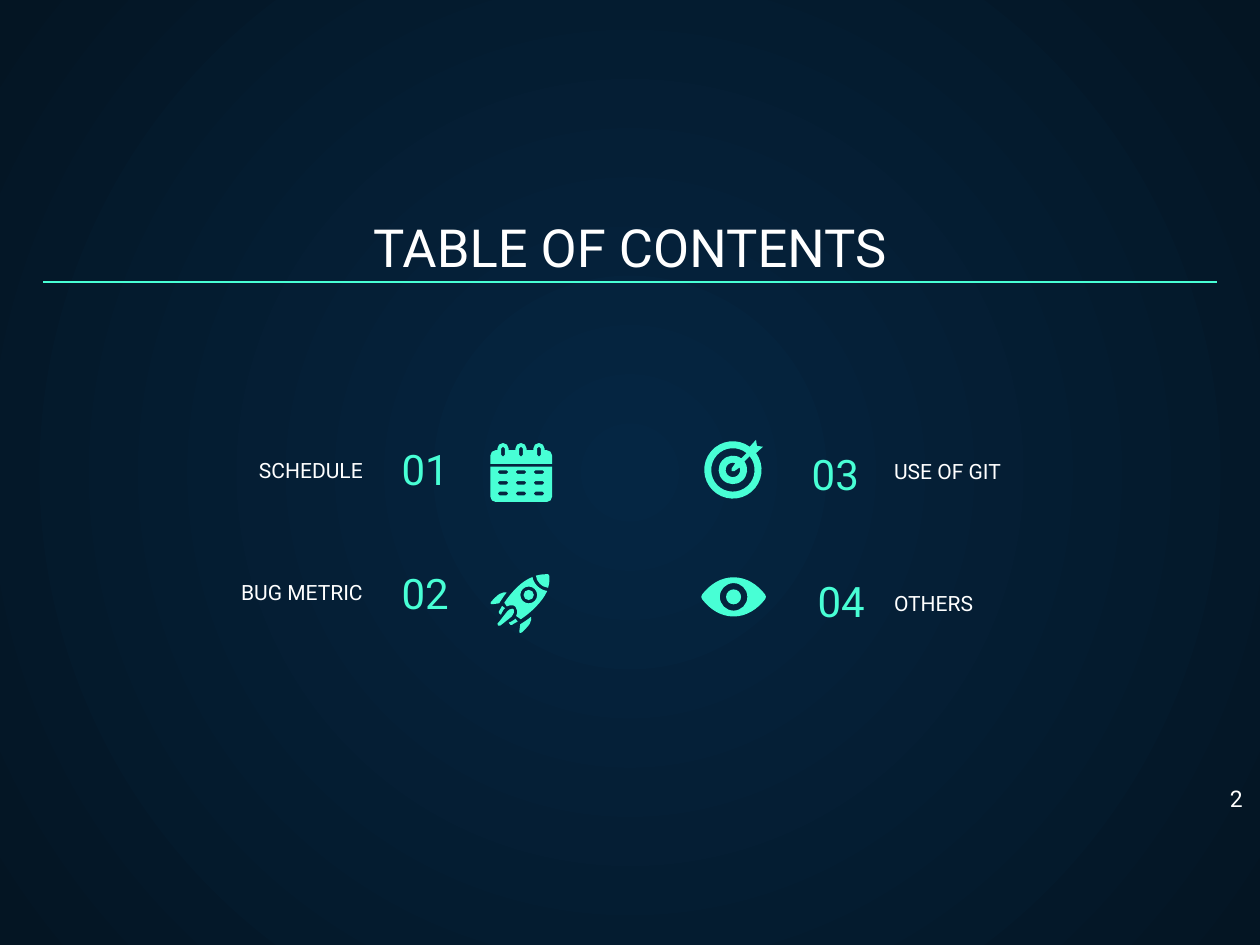
from math import ceil, cos, radians, sin, tan

from lxml import etree
from pptx import Presentation
from pptx.dml.color import RGBColor
from pptx.enum.shapes import MSO_CONNECTOR
from pptx.enum.text import MSO_ANCHOR, PP_ALIGN
from pptx.oxml import parse_xml
from pptx.oxml.ns import nsdecls, qn
from pptx.util import Pt

MINT, WHITE = "48FFD5", "FFFFFF"
NAVY, NIGHT = "052643", "041523"
LEFT, CENTER, RIGHT = PP_ALIGN.LEFT, PP_ALIGN.CENTER, PP_ALIGN.RIGHT
BOTTOM, TOP = MSO_ANCHOR.BOTTOM, MSO_ANCHOR.TOP

# Content: text, left, top, width, height, size, colour, alignment, anchor
TEXTS = [
    ("TABLE OF CONTENTS", 18.5, 88.5, 503, 36, 22.5, WHITE, CENTER, BOTTOM),
    ("04", 306, 237.6, 69.8, 36, 18, MINT, RIGHT, BOTTOM),
    ("01", 167, 180.7, 69.8, 36, 18, MINT, LEFT, BOTTOM),
    ("02", 167, 234, 69.8, 36, 18, MINT, LEFT, BOTTOM),
    ("03", 342.7, 182.9, 69.8, 36, 18, MINT, LEFT, BOTTOM),
    ("SCHEDULE", 2.2, 180.7, 158.4, 31.5, 9, WHITE, RIGHT, BOTTOM),
    ("BUG METRIC", 38.2, 252.7, 122.4, 11.5, 9, WHITE, RIGHT, BOTTOM),
    ("OTHERS", 378, 257.8, 122.4, 11.5, 9, WHITE, LEFT, BOTTOM),
    ("USE OF GIT", 378, 200.9, 129.6, 11.5, 9, WHITE, LEFT, BOTTOM),
    ("2", 505.4, 331.2, 32.4, 23, 9.8, WHITE, RIGHT, TOP),
]

# Outlines: a pair is a straight step, six numbers are a Bezier step
FIN = [(5.8, 7.9), (4.6, 8, 3.4, 8.8, 2.2, 10), (0.3, 11.9),
       (-0.1, 12.4, 0, 12.9, 0.4, 13), (0.8, 13.1, 2.6, 12.7, 3.8, 12.6),
       (4.8, 11, 5.8, 9.4, 7, 8)]
STRAKE = [(5, 13.7), (4.4, 14.8, 3.9, 15.7, 3.6, 16.1),
          (3.4, 16.4, 3.5, 16.7, 3.6, 16.8), (4.5, 17.5),
          (4.8, 16.8, 5.2, 16, 5.8, 15.1), (6.3, 14.7)]
FLAME = [(9.4, 14.9), (8.5, 14.9, 7.5, 15.5, 7.1, 16.2),
         (4.9, 19, 3.7, 20.6, 3, 21.3), (2.9, 21.7, 3, 22, 3.3, 22.2),
         (3.5, 22.4, 3.8, 22.5, 4.1, 22.2), (4.8, 21.7, 6.5, 20.4, 9.2, 18.2),
         (10, 17.3, 10.4, 16, 10, 15.2)]
NOSE = [(23.6, 0.1), (22.2, 0.1, 20.8, 0.3, 19.5, 0.7),
        (19.6, 1.8, 20.1, 3.1, 21.1, 4.1), (22.2, 5.2, 23.5, 5.8, 24.7, 5.9),
        (25.2, 4.4, 25.4, 2.7, 25.2, 0.7), (25.2, 0.4, 25, 0.2, 24.7, 0.1)]
HULL = [(18, 1.3), (13.5, 3, 9.6, 7, 5.9, 12.3), (7, 13.9),
        (7.8, 13.5, 8.7, 13.3, 9.4, 13.4), (9.9, 13.4, 10.4, 13.6, 10.8, 14.2),
        (11.6, 15, 11.7, 16.5, 11, 18), (13, 19.4),
        (17.4, 16.5, 22.2, 12, 24.3, 7.3), (22.9, 7.1, 21.3, 6.4, 20.1, 5.2),
        (18.9, 4, 18.2, 2.5, 18, 1.3)]
EYELID = [(0, -8.4), (-5.5, -8.4, -10.2, -5.3, -13.5, -1),
          (-14, -0.4, -14, 0.4, -13.5, 1), (-10.2, 5.3, -5.5, 8.4, 0, 8.4),
          (5.5, 8.4, 10.2, 5.3, 13.5, 1), (14, 0.4, 14, -0.4, 13.5, -1),
          (10.2, -5.3, 5.5, -8.4, 0, -8.4)]


def rgb(value):
    return RGBColor.from_string(value)


# Geometry
def arc(cx, cy, r, start=0, end=360, span=90):
    n = ceil(abs(end - start) / span)
    turn = radians(end - start) / n
    k = 4 / 3 * tan(turn / 4)
    steps = [(cx + r * cos(radians(start)), cy + r * sin(radians(start)))]
    for i in range(n):
        a = radians(start) + i * turn
        b = a + turn
        steps.append((cx + r * (cos(a) - k * sin(a)), cy + r * (sin(a) + k * cos(a)),
                      cx + r * (cos(b) + k * sin(b)), cy + r * (sin(b) - k * cos(b)),
                      cx + r * cos(b), cy + r * sin(b)))
    return steps


def mirror(steps):
    return [tuple(25.4 - step[i ^ 1] for i in range(len(step))) for step in steps]


def pill(cx, cy, w, h):
    r = min(w, h) / 2
    dx, dy = w / 2 - r, h / 2 - r
    start = -90 if w > h else 0
    return (arc(cx + dx, cy + dy, r, start, start + 180, 180)
            + arc(cx - dx, cy - dy, r, start + 180, start + 360, 180))


def add_outline(shapes, x, y, contours):
    fb = None
    for contour in contours:
        ends = [(Pt(x + step[-2]), Pt(y + step[-1])) for step in contour]
        if fb is None:
            fb = shapes.build_freeform(*ends[0])
        else:
            fb.move_to(*ends[0])
        fb.add_line_segments(ends[1:], close=True)
    sp = fb.convert_to_shape()
    # Turn the Bezier steps into curves
    lines = list(sp._element.iter(qn("a:lnTo")))
    steps = [step for contour in contours for step in contour[1:]]
    for line, step in zip(lines, steps):
        if len(step) == 6:
            curve = etree.Element(qn("a:cubicBezTo"))
            for px, py in zip(step[::2], step[1::2]):
                etree.SubElement(curve, qn("a:pt"), x=str(Pt(x + px) - sp.left),
                                 y=str(Pt(y + py) - sp.top))
            line.getparent().replace(line, curve)
    sp.shadow.inherit = False
    sp.fill.solid()
    sp.fill.fore_color.rgb = rgb(MINT)
    sp.line.fill.background()
    return sp


# Calendar: a sheet of nine slots and a header with three rings
columns, rows = [5.4 + 7.7 * i for i in range(3)], [12.4 + 4.6 * i for i in range(3)]
sheet = [[(0, 10.1), *arc(2.2, 23, 2.2, 180, 90), *arc(24.2, 23, 2.2, 90, 0), (26.4, 10.1)]]
sheet += [pill(x, y, 4.6, 1.5) for y in rows for x in columns]
rim = [(0, 8.9), *arc(2.2, 5.3, 2.2, 180, 270)]
for x in columns:
    rim += [(x - 2.4, 3.1), *arc(x, 2.4, 2.4, 180, 360), (x + 2.4, 3.1)]
rim += [*arc(24.2, 5.3, 2.2, 270, 360), (26.4, 8.9)]
header = [rim] + [pill(x, 3.7, 1.6, 4.3) for x in columns]

# Target: rings opened on the upper right for the arrow
target = [
    arc(0, 0, 12.3, -36, 306) + [(9.9, -12.9), (10.3, -10.3), (12.9, -9.9)],
    arc(0, 0, 9.3, -39, 309) + arc(0, 0, 6.1, 306, -36),
    arc(0, 0, 3.1, -20, 290) + arc(0, 0, 0.8, 225, 45),
]
eye = [EYELID, arc(0, 0, 5.9), arc(0, 0, 3.2)]

# Rocket: fins and strakes mirror across its axis
window = (16.4, 9)
rocket = [[STRAKE], [mirror(STRAKE)], [FLAME], [FIN], [mirror(FIN)],
          [arc(*window, 2.2)], [NOSE], [HULL, arc(*window, 3.6)]]

ICONS = [  # left, top, parts
    (314.1, 201.4, [target]),
    (210.2, 246, rocket),
    (314.4, 255.8, [eye]),
    (210.2, 189.9, [sheet, header]),
]

# Slide and background
prs = Presentation()
prs.slide_width, prs.slide_height = Pt(540), Pt(405)
s = prs.slides.add_slide(prs.slide_layouts[6])
fill = s.background.fill
fill.gradient()
for stop, color in zip(fill.gradient_stops, (NAVY, NIGHT)):
    stop.color.rgb = rgb(color)
lin = next(s._element.iter(qn("a:lin")))
lin.getparent().replace(lin, parse_xml(
    f'<a:path {nsdecls("a")} path="circle">'
    '<a:fillToRect l="50000" t="50000" r="50000" b="50000"/></a:path>'))

# Texts
for text, x, y, w, h, size, color, align, anchor in TEXTS:
    tf = s.shapes.add_textbox(Pt(x), Pt(y), Pt(w), Pt(h)).text_frame
    tf.word_wrap, tf.vertical_anchor = True, anchor
    tf.margin_left = tf.margin_right = tf.margin_top = tf.margin_bottom = Pt(5.2)
    p = tf.paragraphs[0]
    p.text, p.alignment = text, align
    font = p.runs[0].font
    font.name, font.size, font.color.rgb = "Roboto", Pt(size), rgb(color)

# Icons
for x, y, parts in ICONS:
    drawn = [add_outline(s.shapes, x, y, contours) for contours in parts]
    if len(drawn) > 1:
        s.shapes.add_group_shape(drawn)

# Rule under the title
rule = s.shapes.add_connector(MSO_CONNECTOR.STRAIGHT, Pt(18.5), Pt(120.9), Pt(521.5), Pt(120.9))
rule.line.color.rgb, rule.line.width = rgb(MINT), Pt(0.75)
etree.SubElement(rule._element.spPr, qn("a:effectLst"))

prs.save("out.pptx")
